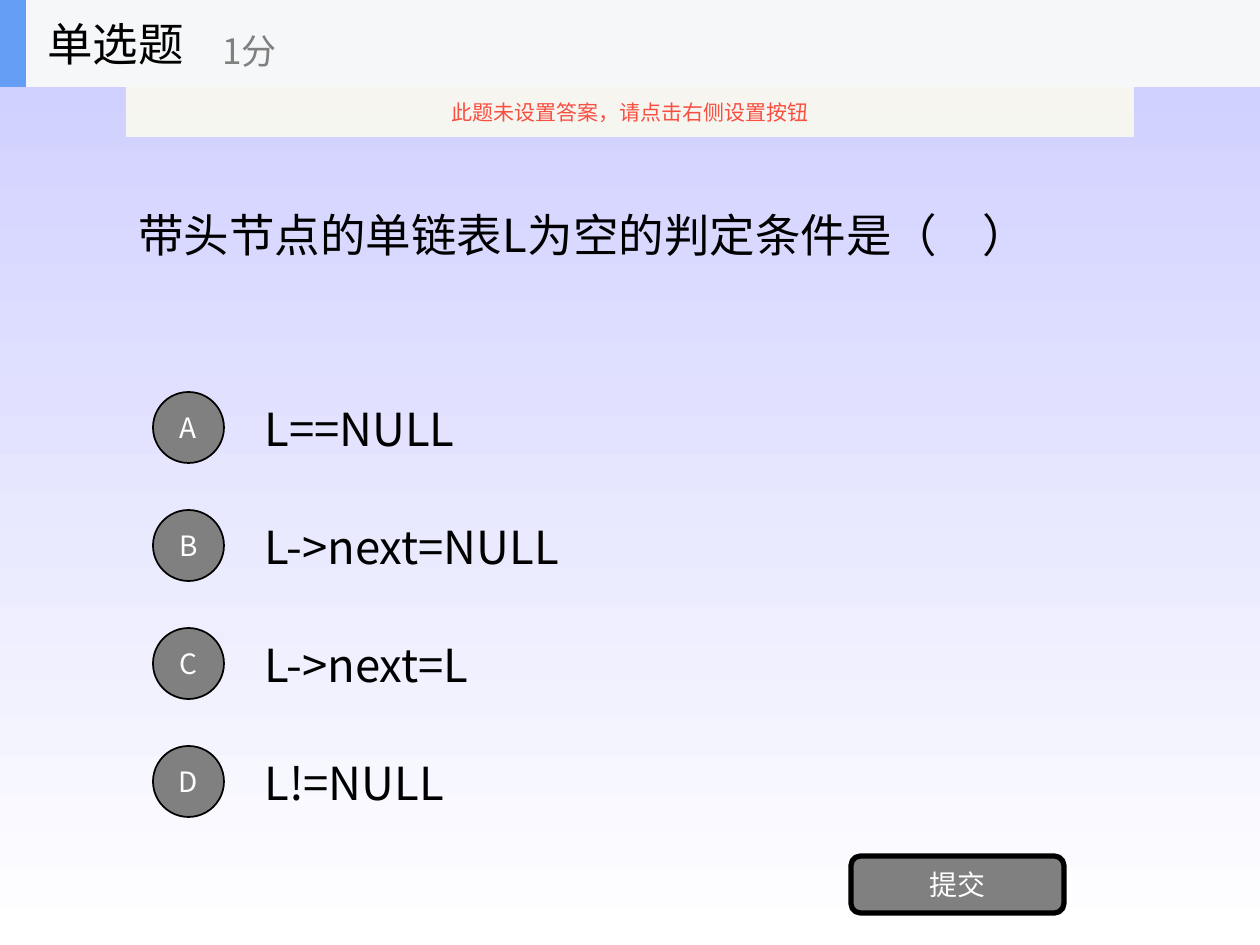
from lxml.etree import SubElement
from pptx import Presentation
from pptx.dml.color import RGBColor
from pptx.enum.shapes import MSO_SHAPE as SHAPE
from pptx.enum.text import MSO_ANCHOR as ANCHOR, PP_ALIGN as ALIGN
from pptx.oxml.ns import qn
from pptx.util import Pt

FONT = "Noto Sans CJK SC"
BLACK, GRAY, WHITE = "000000", "808080", "FFFFFF"
QUESTION = "带头节点的单链表L为空的判定条件是（　）"
OPTIONS = [
    ("A", "L==NULL"),
    ("B", "L->next=NULL"),
    ("C", "L->next=L"),
    ("D", "L!=NULL"),
]
TITLE, SCORE, SUBMIT = "单选题", "1分", "提交"
NOTICE = "此题未设置答案，请点击右侧设置按钮"
WIDTH, HEIGHT, HEADER = 1260, 945, 87
OPTION_TOP, OPTION_STEP, OPTION_HEIGHT, BADGE = 384, 118, 88, 71


def px(n):
    return round(n * 914400 / 126)


def rgb(value):
    return RGBColor.from_string(value)


def write(sp, text, size, color, align=ALIGN.LEFT, wrap=True):
    tf = sp.text_frame
    tf.word_wrap = wrap
    tf.vertical_anchor = ANCHOR.MIDDLE
    p = tf.paragraphs[0]
    p.text = text
    p.alignment = align
    p.font.size = Pt(size)
    p.font.name = FONT
    p.font.color.rgb = rgb(color)
    SubElement(p._p.pPr.find(qn("a:defRPr")), qn("a:ea"), typeface=FONT)


def label(shapes, box, text, size, color=BLACK):
    write(shapes.add_textbox(*map(px, box)), text, size, color)


def shape(shapes, kind, box, fill, line=0):
    sp = shapes.add_shape(kind, *map(px, box))
    sp.shadow.inherit = False
    sp.fill.solid()
    sp.fill.fore_color.rgb = rgb(fill)
    if line:
        sp.line.color.rgb = rgb(BLACK)
        sp.line.width = Pt(line)
    else:
        sp.line.fill.background()
    return sp


prs = Presentation()
prs.slide_width, prs.slide_height = px(WIDTH), px(HEIGHT)
s = prs.slides.add_slide(prs.slide_layouts[6])
bg = s.background.fill
bg.gradient()
bg.gradient_angle = 270
for stop, color in zip(bg.gradient_stops, ("CCCCFF", WHITE)):
    stop.color.rgb = rgb(color)

label(s.shapes, (126, HEADER, 1008, 295), QUESTION, 26)
for i, (letter, answer) in enumerate(OPTIONS):
    top = OPTION_TOP + i * OPTION_STEP
    label(s.shapes, (252, top, 882, OPTION_HEIGHT), answer, 26)
    badge_top = top + (OPTION_HEIGHT - BADGE) // 2
    badge = shape(s.shapes, SHAPE.OVAL, (153, badge_top, BADGE, BADGE), GRAY, 1)
    write(badge, letter, 16, WHITE, ALIGN.CENTER, False)

button = shape(s.shapes, SHAPE.ROUNDED_RECTANGLE, (851, 856, 213, 57), GRAY, 3)
write(button, SUBMIT, 16, WHITE, ALIGN.CENTER, False)

header = s.shapes.add_group_shape().shapes
shape(header, SHAPE.RECTANGLE, (0, 0, WIDTH, HEADER), "F6F7F8")
shape(header, SHAPE.RECTANGLE, (0, 0, 26, HEADER), "639EF4")
label(header, (35, 0, 262, HEADER), TITLE, 26)
label(header, (210, 15, 315, 71), SCORE, 20, GRAY)

notice = shape(s.shapes, SHAPE.RECTANGLE, (126, HEADER, 1008, 50), "FBFAEF")
notice_color = notice.fill._xPr.find(qn("a:solidFill"))[0]
SubElement(notice_color, qn("a:alpha"), val="90000")
write(notice, NOTICE, 12, "F84F41", ALIGN.CENTER, False)

prs.save("out.pptx")
